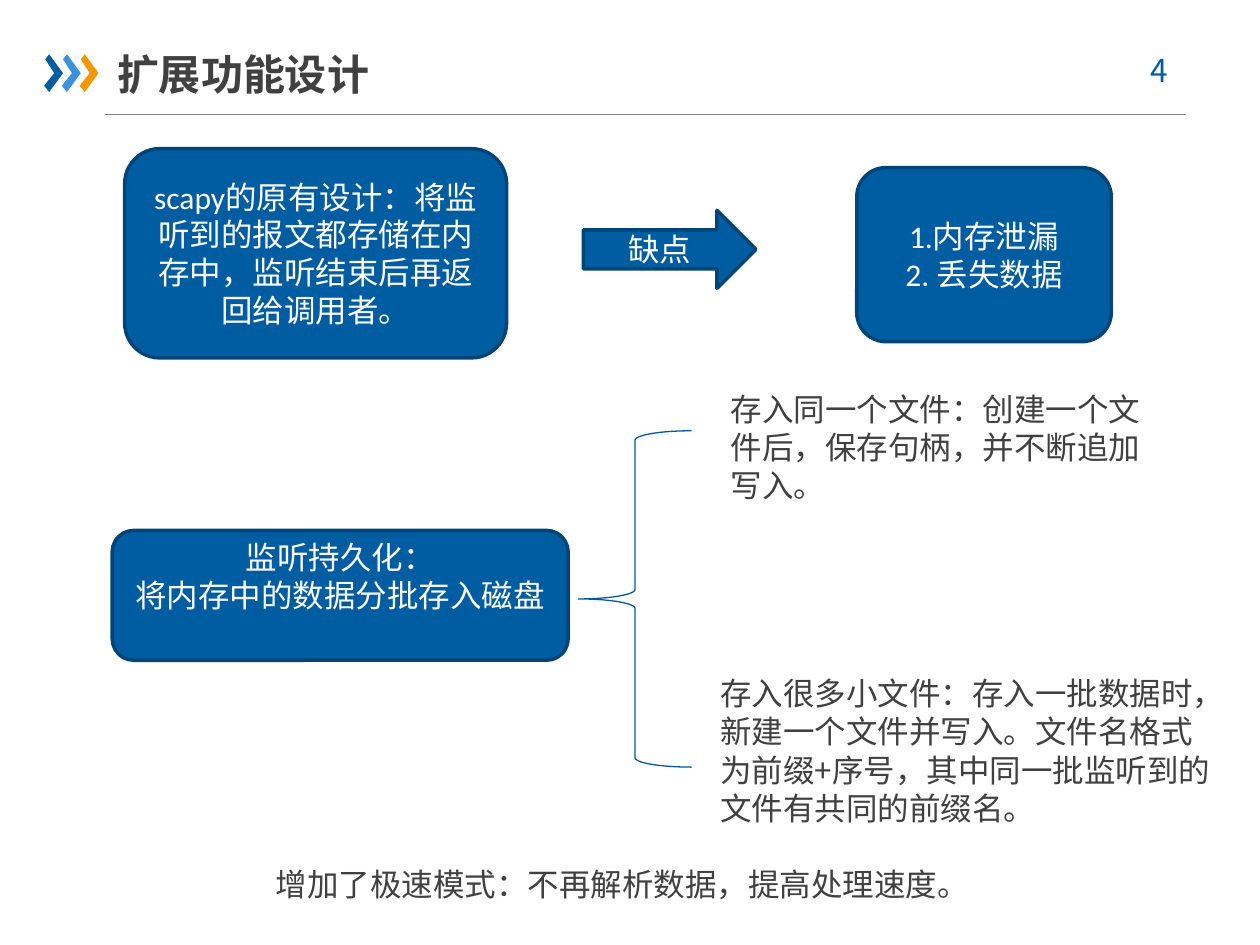
from lxml.etree import SubElement
from pptx import Presentation
from pptx.dml.color import RGBColor
from pptx.enum.shapes import MSO_CONNECTOR, MSO_SHAPE
from pptx.enum.text import MSO_ANCHOR, PP_ALIGN
from pptx.oxml.ns import qn
from pptx.util import Pt

THEME = {
    "blue": "005DA2", "sky": "3992DB", "orange": "F79600", "edge": "004578",
    "brace": "005B9E", "rule": "808080", "text": "404040", "white": "FFFFFF",
    "shape_font": "Calibri", "text_font": "Noto Sans CJK SC",
    "title": 24, "body": 18, "leading": 1.21,
}

# Positions are left, top, width, height
TITLE = ("扩展功能设计", (59.8, 23.8, 160, 36))
PAGE_NUMBER = ("4 ", (638, 25.2, 52.5, 28.8))
NOTES = [
    ("存入同一个文件：创建一个文件后，保存句柄，并不断追加写入。", (410.4, 218.9, 255.6, 72.7)),
    ("存入很多小文件：存入一批数据时，新建一个文件并写入。文件名格式为前缀+序号，"
     "其中同一批监听到的文件有共同的前缀名。", (404.6, 381.6, 298.8, 94.3)),
    ("增加了极速模式：不再解析数据，提高处理速度。", (150.5, 490.3, 498.2, 28.8)),
]
# The last value is the bottom inset
BLOCKS = [
    (MSO_SHAPE.ROUNDED_RECTANGLE, "scapy的原有设计：将监听到的报文都存储在内存中，监听结束后再返回给调用者。",
     (71.3, 85, 218.2, 119.5), 3.6),
    (MSO_SHAPE.RIGHT_ARROW, "缺点", (333.4, 120.2, 98.6, 44.6), 3.6),
    (MSO_SHAPE.ROUNDED_RECTANGLE, "1.内存泄漏\n2. 丢失数据", (489.6, 95.8, 145.4, 99.4), 3.6),
    (MSO_SHAPE.ROUNDED_RECTANGLE, "监听持久化：\n将内存中的数据分批存入磁盘",
     (64.1, 303.1, 260.6, 74.2), 25.4),
]
BRACE = (330.5, 246.2, 64.8, 192.2)
RULE = (59.8, 65.5, 677.5, 65.5)
CHEVRON = [(0.7, 2.9), (2.9, 0), (10.8, 10.8), (2.9, 21.6), (0, 18), (5.8, 10.8)]
CHEVRON_LEFT, CHEVRON_TOP, CHEVRON_STEP = 25.2, 31, 10.15


def color(name):
    return RGBColor.from_string(THEME[name])


def pts(values):
    return [Pt(v) for v in values]


def write(sp, text, size, ink, font, align, bold=False, leading=None):
    tf = sp.text_frame
    tf.text = text
    for p in tf.paragraphs:
        p.alignment = align
        if leading:
            p.line_spacing = Pt(round(size * leading, 1))
        for r in p.runs:
            r.font.size, r.font.bold, r.font.name = Pt(size), bold, font
            r.font.color.rgb = color(ink)
            SubElement(r._r.get_or_add_rPr(), qn("a:ea")).set("typeface", font)
    return tf


def add_text(s, text, box, size="body", ink="text", align=PP_ALIGN.LEFT, bold=False, wrap=True):
    sp = s.shapes.add_textbox(*pts(box))
    tf = write(sp, text, THEME[size], ink, THEME["text_font"], align, bold, THEME["leading"])
    tf.word_wrap = wrap


def add_block(s, kind, text, box, bottom):
    sp = s.shapes.add_shape(kind, *pts(box))
    sp.shadow.inherit = False
    sp.fill.solid()
    sp.fill.fore_color.rgb = color("blue")
    sp.line.color.rgb = color("edge")
    sp.line.width = Pt(2)
    tf = write(sp, text, THEME["body"], "white", THEME["shape_font"], PP_ALIGN.CENTER)
    tf.word_wrap = True
    tf.vertical_anchor = MSO_ANCHOR.MIDDLE
    tf.margin_bottom = Pt(bottom)


def add_header(s):
    x1, y1, x2, y2 = pts(RULE)
    rule = s.shapes.add_connector(MSO_CONNECTOR.STRAIGHT, x1, y1, x2, y2)
    rule.line.color.rgb = color("rule")
    rule.line.width = Pt(0.75)
    SubElement(rule._element.spPr, qn("a:effectLst"))

    for i, name in enumerate(("blue", "sky", "orange")):
        left = CHEVRON_LEFT + i * CHEVRON_STEP
        points = [(Pt(left + x), Pt(CHEVRON_TOP + y)) for x, y in CHEVRON]
        fb = s.shapes.build_freeform(*points[0])
        fb.add_line_segments(points[1:], close=True)
        sp = fb.convert_to_shape()
        sp.shadow.inherit = False
        sp.fill.solid()
        sp.fill.fore_color.rgb = color(name)
        sp.line.fill.background()

    add_text(s, *PAGE_NUMBER, ink="blue", align=PP_ALIGN.CENTER)
    add_text(s, *TITLE, size="title", bold=True, wrap=False)


def add_brace(s):
    sp = s.shapes.add_shape(MSO_SHAPE.LEFT_BRACE, *pts(BRACE))
    sp.shadow.inherit = False
    sp.fill.background()
    sp.line.color.rgb = color("brace")
    sp.line.width = Pt(0.75)


def main():
    prs = Presentation()
    prs.slide_width, prs.slide_height = Pt(720), Pt(540)
    s = prs.slides.add_slide(prs.slide_layouts[6])
    add_header(s)
    for block in BLOCKS:
        add_block(s, *block)
    add_brace(s)
    for text, box in NOTES:
        add_text(s, text, box)
    prs.save("out.pptx")


if __name__ == "__main__":
    main()
